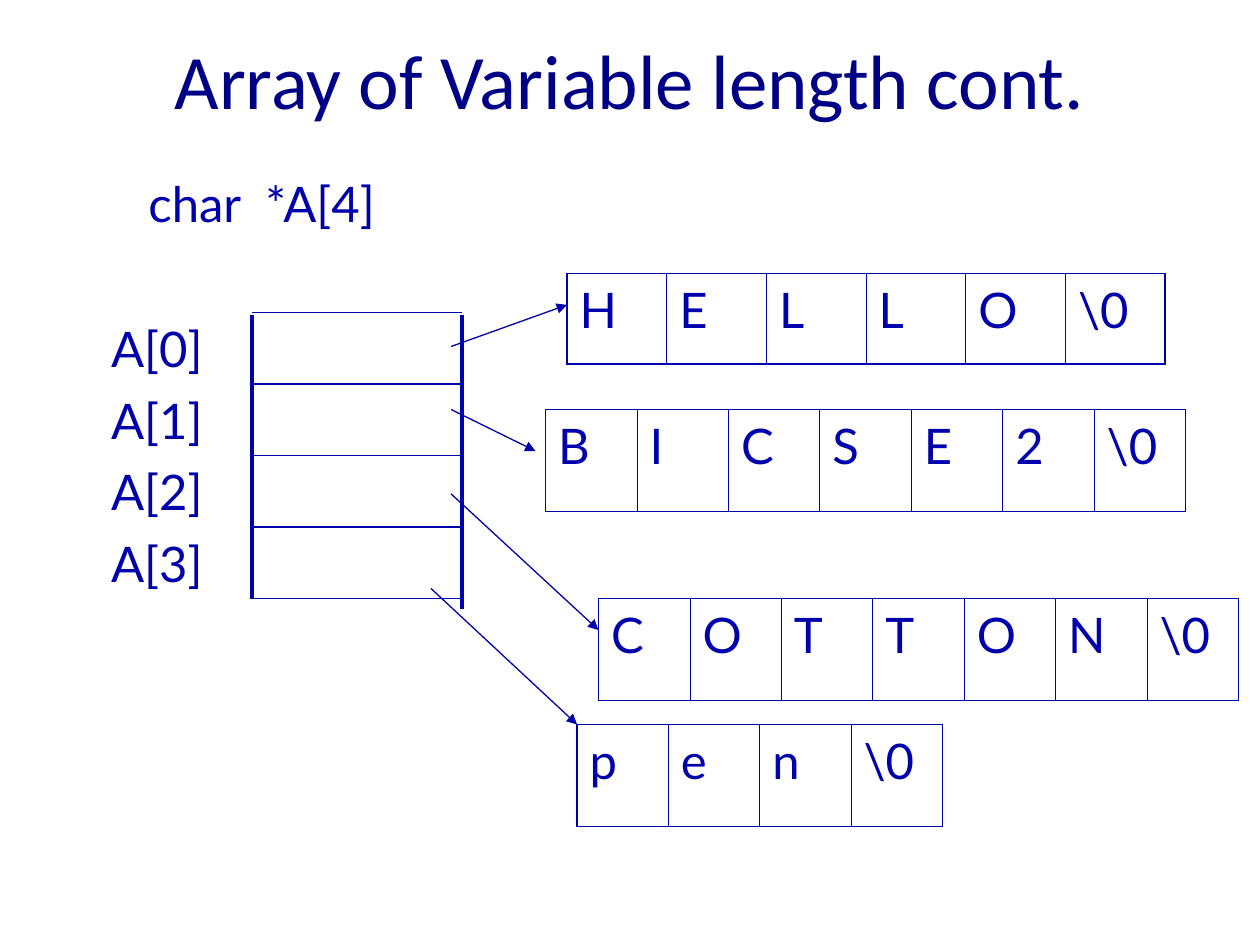
from lxml import etree
from pptx import Presentation
from pptx.dml.color import RGBColor
from pptx.enum import shapes, text
from pptx.oxml import ns
from pptx.util import Inches, Pt

INK = "0000AC"
TITLE_INK = "000086"
TITLE = "Array of Variable length cont."
DECLARATION = "char  *A[4]"
INDEX_ROWS = ["", "A[0]", "A[1]", "A[2]", "A[3]", "", "", ""]
WORDS = [
    (["H", "E", "L", "L", "O", "\\0"], 4.5, 2.17, 4.75, 0.72),
    (["B", "I", "C", "S", "E", "2", "\\0"], 4.33, 3.25, 5.08, 0.81),
    (["C", "O", "T", "T", "O", "N", "\\0"], 4.75, 4.75, 5.08, 0.81),
    (["p", "e", "n", "\\0"], 4.58, 5.75, 2.9, 0.81),
]
POINTERS = [
    (3.58, 2.75, 4.5, 2.42),
    (3.58, 3.25, 4.25, 3.58),
    (3.58, 3.92, 4.75, 5),
    (3.42, 4.67, 4.58, 5.75),
]
BOX_LEFT, BOX_RIGHT, BOX_TOP, BOX_BOTTOM = 2, 3.67, 2.48, 4.75
SLOTS = 4
SIDES = [(BOX_LEFT, 4.75), (BOX_RIGHT, 4.83)]
THIN, THICK = 0.45, 1.08

prs = Presentation()
prs.slide_width, prs.slide_height = Inches(10), Inches(7.5)
slide = prs.slides.add_slide(prs.slide_layouts[6])


def rgb(value):
    return RGBColor.from_string(value)


def write(frame, words, size=28, font="Lato", color=INK, align=None, before=7):
    paragraph = frame.paragraphs[0]
    paragraph.alignment = align
    paragraph.space_before = Pt(before)
    run = paragraph.add_run()
    run.text = words
    run.font.size = Pt(size)
    run.font.name = font
    run.font.color.rgb = rgb(color)


def add_text(words, left, top, width, height, anchor, **style):
    box = slide.shapes.add_textbox(*map(Inches, (left, top, width, height)))
    box.text_frame.word_wrap = True
    box.text_frame.vertical_anchor = anchor
    write(box.text_frame, words, **style)


def add_line(x1, y1, x2, y2, weight, arrow=False):
    line = slide.shapes.add_connector(
        shapes.MSO_CONNECTOR.STRAIGHT, *map(Inches, (x1, y1, x2, y2)))
    line.line.color.rgb = rgb(INK)
    line.line.width = Pt(weight)
    if arrow:
        etree.SubElement(line.line._get_or_add_ln(), ns.qn("a:tailEnd"), type="triangle")
    etree.SubElement(line._element.spPr, ns.qn("a:effectLst"))


def set_borders(cell, weights):
    for position, (side, weight) in enumerate(weights.items()):
        border = etree.Element(ns.qn("a:ln" + side), w=str(Pt(weight)))
        fill = etree.SubElement(border, ns.qn("a:solidFill"))
        etree.SubElement(fill, ns.qn("a:srgbClr"), val=INK)
        cell._tc.get_or_add_tcPr().insert(position, border)


def add_grid(rows, left, top, width, height, align=None, bordered=True):
    last = len(rows[0]) - 1
    grid = slide.shapes.add_table(
        len(rows), last + 1, *map(Inches, (left, top, width, height))).table
    grid.first_row = grid.horz_banding = False
    for r, row in enumerate(rows):
        for c, words in enumerate(row):
            cell = grid.cell(r, c)
            cell.fill.background()
            if words:
                write(cell.text_frame, words, align=align)
            if bordered:
                set_borders(cell, {"L": THIN if c else THICK,
                                   "R": THIN if c < last else THICK,
                                   "T": THICK, "B": THICK})


add_text(TITLE, 0, 0, 10, 1.25, text.MSO_ANCHOR.MIDDLE, size=44, font="Calibri",
         color=TITLE_INK, align=text.PP_ALIGN.CENTER, before=0)
add_text(DECLARATION, 1.08, 1.33, 4.42, 0.57, text.MSO_ANCHOR.TOP)

for slot in range(SLOTS + 1):
    y = BOX_TOP + slot * (BOX_BOTTOM - BOX_TOP) / SLOTS
    add_line(BOX_LEFT, y, BOX_RIGHT, y, 1)
for x, bottom in SIDES:
    add_line(x, 2.5, x, bottom, 2.25)

add_grid([[label] for label in INDEX_ROWS], 0.58, 1.92, 1.33, 4.53,
         align=text.PP_ALIGN.CENTER, bordered=False)
for letters, *place in WORDS:
    add_grid([letters], *place)
for ends in POINTERS:
    add_line(*ends, 0.75, arrow=True)

prs.save("out.pptx")
